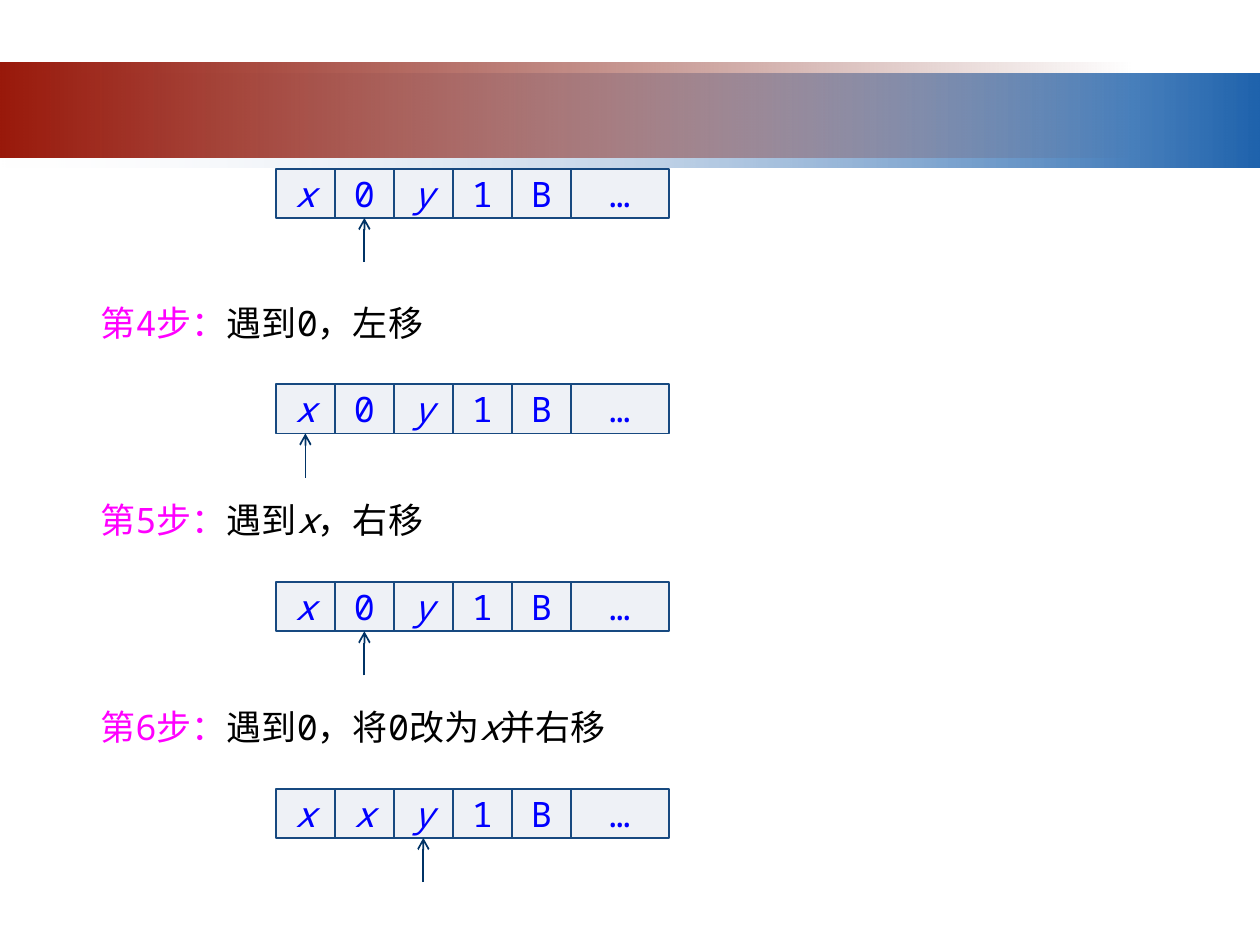
from dataclasses import dataclass
from pptx import Presentation
from pptx.dml.color import RGBColor as RGB
from pptx.enum.shapes import MSO_CONNECTOR as Conn, MSO_SHAPE as Shape
from pptx.enum.text import MSO_ANCHOR as Anchor, MSO_AUTO_SIZE as Auto, PP_ALIGN as Align
from pptx.oxml.ns import qn
from pptx.util import Inches, Pt
from lxml.etree import SubElement as Sub


@dataclass(frozen=True)
class Theme:
    font: str = "Noto Sans Mono"
    size: int = 20
    line: int = 1
    step: str = "FF00FF"
    body: str = "000000"
    mark: str = "0000FF"
    cell: str = "EEF1F6"
    edge: str = "174980"
    arrow: str = "003366"
    pale: str = "F1F2F7"
    blue: str = "1F63AD"
    red: str = "99190B"
    dark: str = "6D1208"


class Board:
    left, last, wide, tall = 2.19, 4.53, 0.78, 0.39
    pitch = (last - left) / 5

    def __init__(self, slide, theme):
        self.slide = slide
        self.theme = theme

    def band(self, top, width, stops, clear):
        bar = self.slide.shapes.add_shape(
            Shape.RECTANGLE, 0, Inches(top), Inches(width), Inches(0.75))
        bar.shadow.inherit = False
        bar.line.fill.background()
        bar.fill.gradient()
        bar.fill.gradient_angle = 0
        for stop, (place, color) in zip(bar.fill.gradient_stops, enumerate(stops)):
            stop.position = place
            stop.color.rgb = RGB.from_string(color)
        tints = list(bar.fill._xPr.iter(qn("a:srgbClr")))
        Sub(tints[clear], qn("a:alpha")).set("val", "0")

    def run(self, para, text, color, italic=False):
        run = para.add_run()
        run.text = text
        font = run.font
        font.name = self.theme.font
        font.size = Pt(self.theme.size)
        font.italic = italic
        font.color.rgb = RGB.from_string(color)

    def label(self, group, top, step, parts):
        box = group.shapes.add_textbox(
            Inches(0.7), Inches(top), Inches(4.53), Inches(0.44))
        frame = box.text_frame
        frame.word_wrap = True
        frame.auto_size = Auto.SHAPE_TO_FIT_TEXT
        para = frame.paragraphs[0]
        self.run(para, step, self.theme.step)
        for text in parts:
            self.run(para, text, self.theme.body, text == "x")

    def cell(self, group, left, top, width, text):
        box = group.shapes.add_shape(
            Shape.RECTANGLE, Inches(left), Inches(top), Inches(width), Inches(self.tall))
        box.shadow.inherit = False
        box.fill.solid()
        box.fill.fore_color.rgb = RGB.from_string(self.theme.cell)
        box.line.color.rgb = RGB.from_string(self.theme.edge)
        box.line.width = Pt(self.theme.line)
        frame = box.text_frame
        frame.vertical_anchor = Anchor.MIDDLE
        para = frame.paragraphs[0]
        para.alignment = Align.CENTER
        self.run(para, text, self.theme.mark, text in "xy")
        return box

    def arrow(self, group, cell):
        mid = cell.left + cell.width // 2
        base = cell.top + cell.height
        line = group.shapes.add_connector(
            Conn.STRAIGHT, mid, base + Inches(0.35), mid, base)
        line.end_connect(cell, 2)
        line.line.color.rgb = RGB.from_string(self.theme.arrow)
        line.line.width = Pt(self.theme.line)
        Sub(line.line._get_or_add_ln(), qn("a:tailEnd")).set("type", "arrow")
        Sub(line._element.spPr, qn("a:effectLst"))

    def tape(self, top, marks, head, step=None, parts=()):
        group = self.slide.shapes.add_group_shape()
        if step:
            self.label(group, top - 0.71, step, parts)
        cells = []
        for i, mark in enumerate(marks):
            width = self.wide if mark == "…" else self.pitch
            cells.append(self.cell(group, self.left + i * self.pitch, top, width, mark))
        self.arrow(group, cells[head])


def main():
    deck = Presentation()
    deck.slide_width, deck.slide_height = Inches(10), Inches(7.5)
    theme = Theme()
    board = Board(deck.slides.add_slide(deck.slide_layouts[6]), theme)
    board.band(0.58, 10, (theme.pale, theme.blue), 0)
    board.band(0.5, 9, (theme.red, theme.dark), 1)
    board.tape(3.05, "x0y1B…", 0, "第4步：", ("遇到0，左移",))
    board.tape(4.62, "x0y1B…", 1, "第5步：", ("遇到", "x", "，右移"))
    board.tape(6.26, "xxy1B…", 2, "第6步：", ("遇到0，将0改为", "x", "并右移"))
    board.tape(1.34, "x0y1B…", 1)
    deck.save("out.pptx")


if __name__ == "__main__":
    main()
